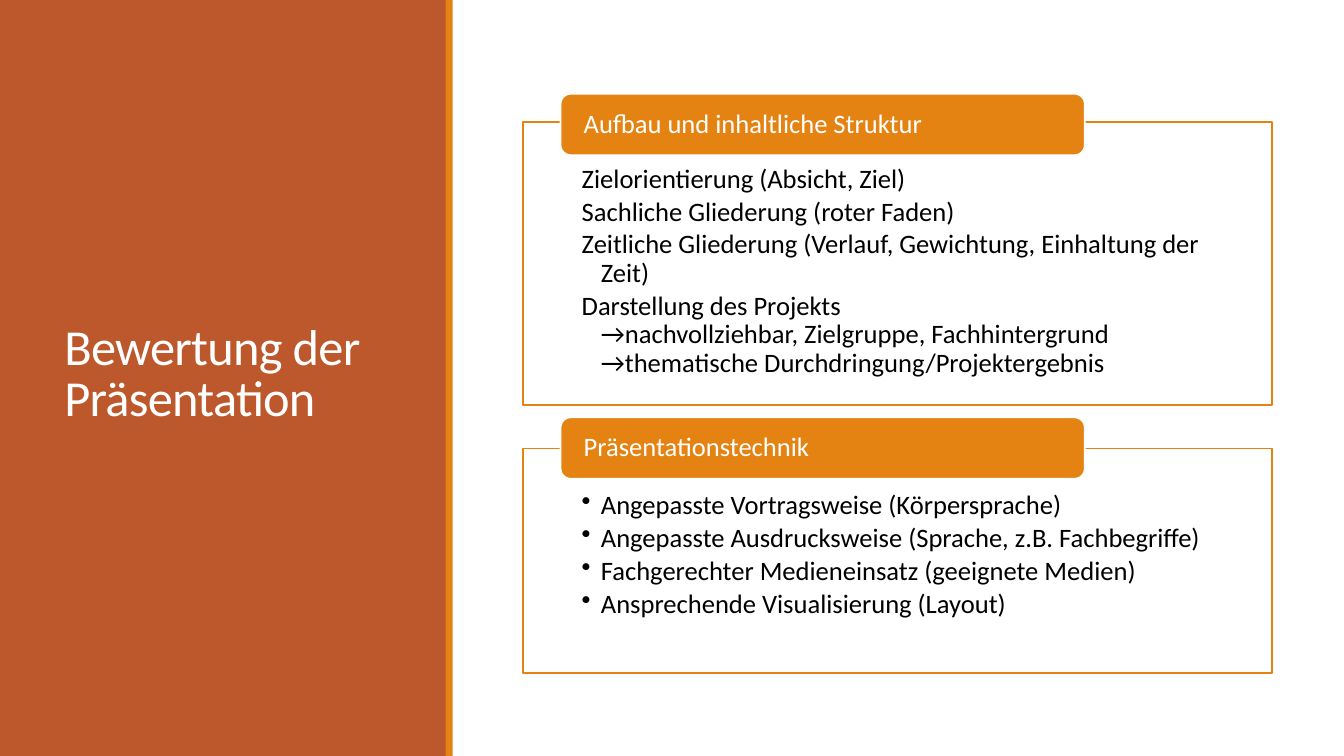
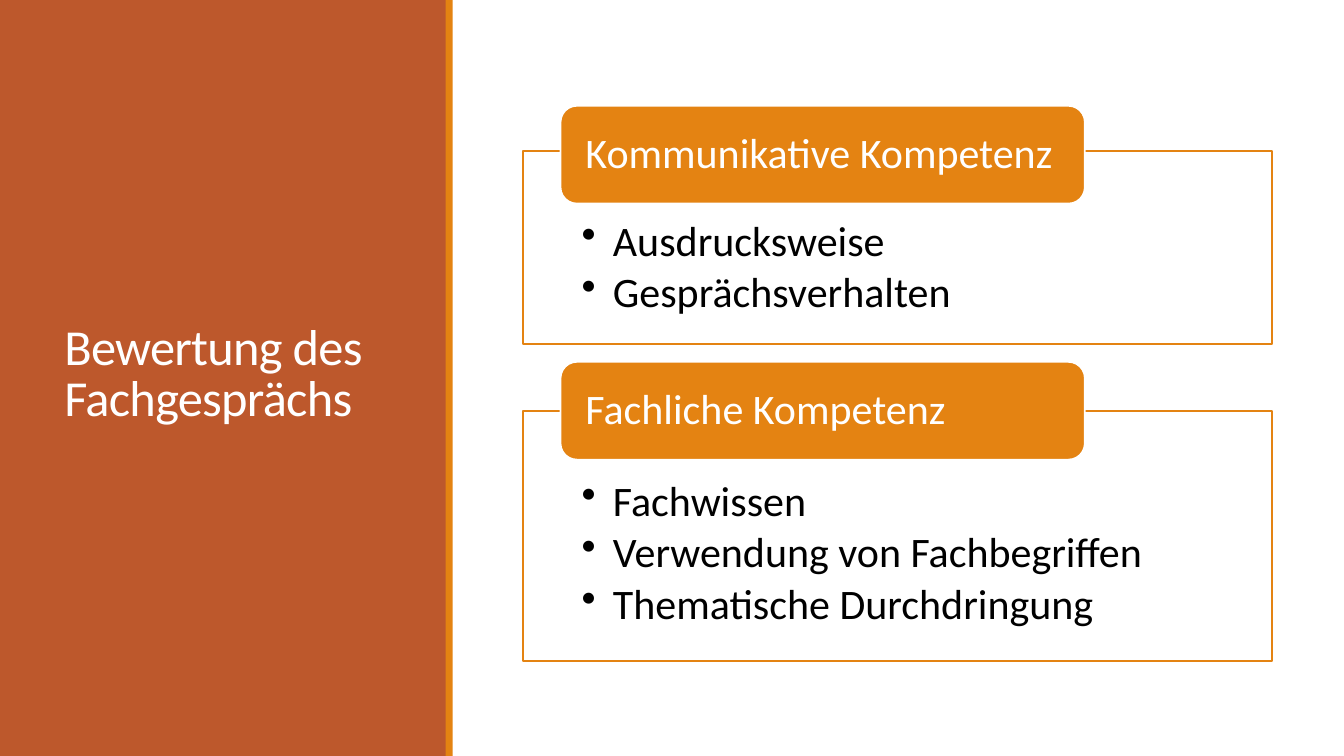
from dataclasses import dataclass

from lxml import etree
from pptx import Presentation
from pptx.dml.color import RGBColor
from pptx.enum import shapes, text
from pptx.oxml import ns
from pptx.util import Emu, Inches, Pt


@dataclass(frozen=True)
class Theme:
    font: str = "Calibri"
    rust: RGBColor = RGBColor(0xBD, 0x58, 0x2C)
    orange: RGBColor = RGBColor(0xE4, 0x83, 0x12)
    white: RGBColor = RGBColor(0xFF, 0xFF, 0xFF)
    black: RGBColor = RGBColor(0, 0, 0)
    title_size: float = 36
    title_tracking: float = -0.5
    outline: float = 1.25


@dataclass(frozen=True)
class Density:
    """Type size and the spacing that goes with it."""
    size: float
    indent: float
    tab_height: float
    inset_top: float
    inset_bottom: float


@dataclass(frozen=True)
class Panel:
    heading: str
    items: tuple[str, ...]
    top: float
    height: float
    tab_top: float
    bulleted: bool = True


@dataclass(frozen=True)
class Topic:
    title: str
    density: Density
    panels: tuple[Panel, ...]


THEME = Theme()
SLIDE_WIDTH, SLIDE_HEIGHT = 13.33, 7.5
PANEL_LEFT, PANEL_WIDTH, PANEL_INSET = 5.19, 7.43, 0.58
TAB_LEFT, TAB_WIDTH, TAB_INSET = 5.56, 5.2, 0.2

COMPACT = Density(19, 0.19, 0.61, 0.43, 0.15)
LARGE = Density(30, 0.31, 0.97, 0.68, 0.23)

TOPICS = (
    Topic("Bewertung der Präsentation", COMPACT, (
        Panel("Aufbau und inhaltliche Struktur", (
            "Zielorientierung (Absicht, Ziel)",
            "Sachliche Gliederung (roter Faden)",
            "Zeitliche Gliederung (Verlauf, Gewichtung, Einhaltung der Zeit)",
            "Darstellung des Projekts\n"
            "→nachvollziehbar, Zielgruppe, Fachhintergrund\n"
            "→thematische Durchdringung/Projektergebnis",
        ), 1.21, 2.81, 0.93, bulleted=False),
        Panel("Präsentationstechnik", (
            "Angepasste Vortragsweise (Körpersprache)",
            "Angepasste Ausdrucksweise (Sprache, z.B. Fachbegriffe)",
            "Fachgerechter Medieneinsatz (geeignete Medien)",
            "Ansprechende Visualisierung (Layout)",
        ), 4.45, 2.23, 4.14),
    )),
    Topic("Bewertung des Fachgesprächs", LARGE, (
        Panel("Kommunikative Kompetenz", (
            "Ausdrucksweise",
            "Gesprächsverhalten",
        ), 1.5, 1.91, 1.05),
        Panel("Fachliche Kompetenz", (
            "Fachwissen",
            "Verwendung von Fachbegriffen",
            "Thematische Durchdringung",
        ), 4.08, 2.48, 3.59),
    )),
)


def inches(*lengths: float) -> list[Emu]:
    return [Inches(length) for length in lengths]


def add_block(slide, preset, at, fill: RGBColor, outline: RGBColor | None = None):
    block = slide.shapes.add_shape(preset, *inches(*at))
    block.shadow.inherit = False
    block.fill.solid()
    block.fill.fore_color.rgb = fill
    if outline is None:
        block.line.fill.background()
    else:
        block.line.color.rgb = outline
        block.line.width = Pt(THEME.outline)
    return block


def set_frame(frame, anchor, insets=(0.1, 0.05, 0.1, 0.05)) -> None:
    left, top, right, bottom = inches(*insets)
    settings = {
        "word_wrap": True, "vertical_anchor": anchor,
        "margin_left": left, "margin_top": top,
        "margin_right": right, "margin_bottom": bottom,
    }
    for name, value in settings.items():
        setattr(frame, name, value)


def write(paragraph, wording: str, size: float, color: RGBColor,
          line_spacing: float = 0.9, tracking: float = 0) -> None:
    paragraph.text = wording
    paragraph.alignment = text.PP_ALIGN.LEFT
    paragraph.line_spacing = line_spacing
    for run in paragraph.runs:
        for name, value in {"name": THEME.font, "size": Pt(size)}.items():
            setattr(run.font, name, value)
        run.font.color.rgb = color
        if tracking:
            run._r.get_or_add_rPr().set("spc", str(round(tracking * 100)))


def hang(paragraph, indent: float, bulleted: bool) -> None:
    """Give a hanging indent and, if wanted, a bullet."""
    properties = paragraph._p.get_or_add_pPr()
    properties.set("marL", str(Inches(indent)))
    properties.set("indent", str(Inches(-indent)))
    if bulleted:
        etree.SubElement(properties, ns.qn("a:buChar")).set("char", "•")


def add_sidebar(slide, title: str) -> None:
    rectangle = shapes.MSO_SHAPE.RECTANGLE
    add_block(slide, rectangle, (0, 0, 4.43, SLIDE_HEIGHT), THEME.rust)
    add_block(slide, rectangle, (4.42, 0, 0.07, SLIDE_HEIGHT), THEME.orange)
    frame = slide.shapes.add_textbox(*inches(0.54, 0.57, 3.37, 6.31)).text_frame
    set_frame(frame, text.MSO_ANCHOR.MIDDLE)
    write(frame.paragraphs[0], title, THEME.title_size, THEME.white,
          line_spacing=0.85, tracking=THEME.title_tracking)


def add_panel(slide, panel: Panel, density: Density) -> None:
    body = add_block(slide, shapes.MSO_SHAPE.RECTANGLE,
                     (PANEL_LEFT, panel.top, PANEL_WIDTH, panel.height),
                     THEME.white, THEME.orange).text_frame
    set_frame(body, text.MSO_ANCHOR.TOP,
              (PANEL_INSET, density.inset_top, PANEL_INSET, density.inset_bottom))
    for index, item in enumerate(panel.items):
        paragraph = body.add_paragraph() if index else body.paragraphs[0]
        write(paragraph, item, density.size, THEME.black)
        paragraph.space_after = Pt(0.15 * density.size)
        hang(paragraph, density.indent, panel.bulleted)

    tab = add_block(slide, shapes.MSO_SHAPE.ROUNDED_RECTANGLE,
                    (TAB_LEFT, panel.tab_top, TAB_WIDTH, density.tab_height),
                    THEME.orange, THEME.white).text_frame
    set_frame(tab, text.MSO_ANCHOR.MIDDLE, (TAB_INSET, 0, TAB_INSET, 0))
    write(tab.paragraphs[0], panel.heading, density.size, THEME.white)


def main() -> None:
    deck = Presentation()
    deck.slide_width, deck.slide_height = inches(SLIDE_WIDTH, SLIDE_HEIGHT)
    blank = deck.slide_layouts[6]
    for topic in TOPICS:
        slide = deck.slides.add_slide(blank)
        add_sidebar(slide, topic.title)
        for panel in topic.panels:
            add_panel(slide, panel, topic.density)
    deck.save("out.pptx")


if __name__ == "__main__":
    main()
